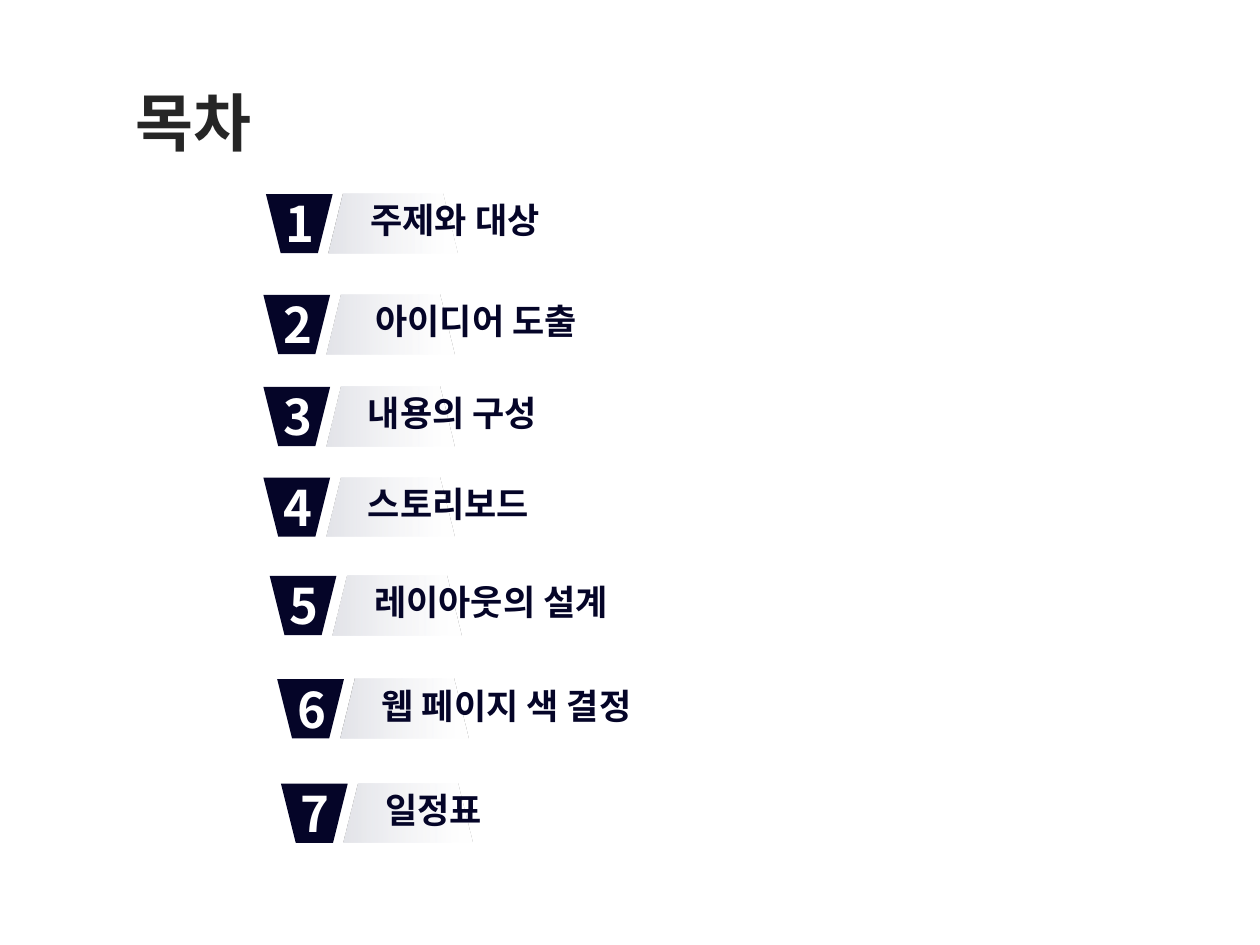
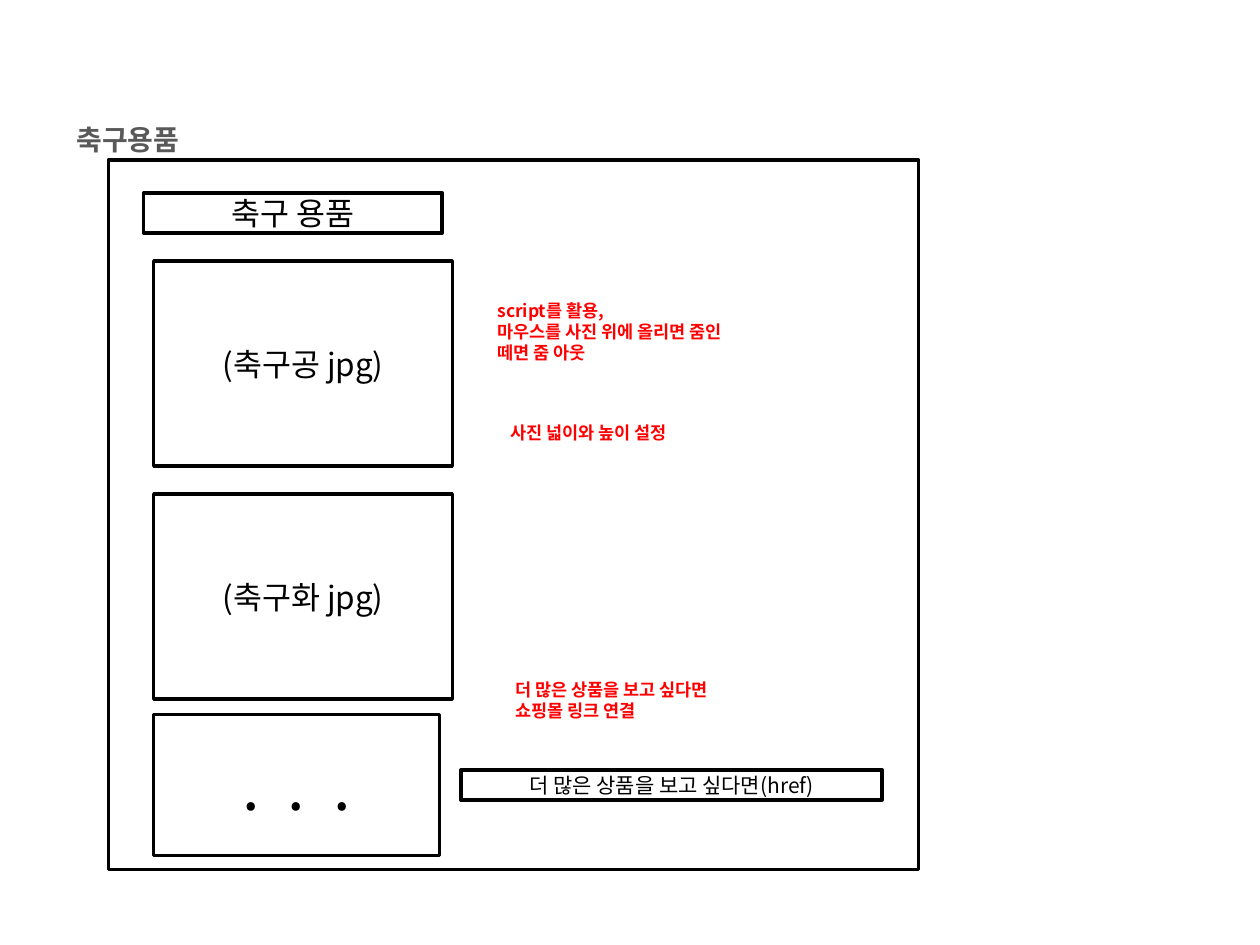
from lxml import etree
from pptx import Presentation
from pptx.dml.color import RGBColor
from pptx.enum.shapes import MSO_SHAPE
from pptx.enum.text import MSO_ANCHOR, MSO_AUTO_SIZE, PP_ALIGN
from pptx.oxml.ns import qn
from pptx.util import Emu, Pt

RECT, TRAPEZOID = MSO_SHAPE.RECTANGLE, MSO_SHAPE.TRAPEZOID
MIDDLE, CENTER = MSO_ANCHOR.MIDDLE, PP_ALIGN.CENTER
FIT_SHAPE = MSO_AUTO_SIZE.SHAPE_TO_FIT_TEXT

PX = 9144  # EMU; 100 px to the inch
FONT = "Noto Sans CJK KR"
NAVY = RGBColor(0x05, 0x05, 0x28)
SILVER = RGBColor(0xE3, 0xE4, 0xE9)
WHITE = RGBColor(0xFF, 0xFF, 0xFF)
BLACK = RGBColor(0x00, 0x00, 0x00)
RED = RGBColor(0xFF, 0x00, 0x00)
CHARCOAL = RGBColor(0x26, 0x26, 0x26)
GRAY = RGBColor(0x59, 0x59, 0x59)

# text, left, top, extra indent of the label
CONTENTS = [
    ("주제와 대상", 211, 154, 0),
    ("아이디어 도출", 209, 234, 6),
    ("내용의 구성", 209, 307, 0),
    ("스토리보드", 209, 379, 0),
    ("레이아웃의 설계", 214, 457, 0),
    ("웹 페이지 색 결정", 220, 539, 0),
    ("일정표", 223, 622, 0),
]

# text, box, size, letter spacing in points
WIREFRAME = [
    ("", (86, 127, 643, 563), 18, 0),
    ("축구 용품", (114, 153, 237, 32), 18, 0),
    ("(축구공 jpg)", (122, 207, 237, 163), 18, 0),
    ("(축구화 jpg)", (122, 392, 237, 163), 18, 0),
    (". . .", (122, 567, 227, 112), 36, 4),
    ("더 많은 상품을 보고 싶다면(href)", (366, 611, 334, 24), 12, 0),
]

NOTES = [
    ("script를 활용,\n마우스를 사진 위에 올리면 줌인\n떼면 줌 아웃", (385, 233, 276, 61)),
    ("사진 넓이와 높이 설정", (395, 330, 276, 27)),
    ("더 많은 상품을 보고 싶다면\n쇼핑몰 링크 연결", (399, 534, 276, 44)),
]


def px(*lengths):
    return [Emu(n * PX) for n in lengths]


def write(tf, text, size, color, bold=False, align=None, spacing=0):
    """Write one paragraph for each line of text."""
    tf.word_wrap = True
    for i, line in enumerate(text.split("\n")):
        p = tf.add_paragraph() if i else tf.paragraphs[0]
        p.alignment = align
        r = p.add_run()
        r.text = line
        r.font.name = FONT
        r.font.size = Pt(size)
        r.font.bold = bold
        r.font.color.rgb = color
        rPr = r.font._element
        etree.SubElement(rPr, qn("a:ea"), typeface=FONT)
        if spacing:
            rPr.set("spc", str(spacing * 100))


def add_text(shapes, text, box, size, color, bold=True, indent=0):
    sp = shapes.add_textbox(*px(*box))
    tf = sp.text_frame
    tf.auto_size = FIT_SHAPE
    tf.margin_left = Emu((10 + indent) * PX)
    write(tf, text, size, color, bold=bold)


def add_plain_shape(shapes, kind, box):
    sp = shapes.add_shape(kind, *px(*box))
    sp.shadow.inherit = False
    sp.line.fill.background()
    return sp


def add_badge(shapes, box):
    sp = add_plain_shape(shapes, TRAPEZOID, box)
    sp.rotation = 180
    sp.fill.solid()
    sp.fill.fore_color.rgb = NAVY


def add_fading_band(shapes, box):
    sp = add_plain_shape(shapes, TRAPEZOID, box)
    sp.fill.gradient()
    sp.fill.gradient_angle = 0
    start, end = sp.fill.gradient_stops
    start.position, start.color.rgb = 0, SILVER
    end.position, end.color.rgb = 0.91, WHITE
    end_color = sp._element.spPr.findall(".//" + qn("a:srgbClr"))[-1]
    etree.SubElement(end_color, qn("a:alpha"), val="70000")


def add_contents_row(slide, number, text, x, y, indent):
    shapes = slide.shapes.add_group_shape().shapes
    add_badge(shapes, (x, y, 53, 47))
    add_fading_band(shapes, (x + 50, y, 102, 47))
    add_text(shapes, str(number), (x + 6, y - 5, 53, 57), 28, WHITE)
    add_text(shapes, text, (x + 67, y - 1, 382, 44), 20, NAVY, indent=6 + indent)


def add_frame(slide, text, box, size, spacing):
    sp = add_plain_shape(slide.shapes, RECT, box)
    sp.fill.solid()
    sp.fill.fore_color.rgb = WHITE
    sp.line.color.rgb = BLACK
    sp.line.width = Pt(2)
    if text:
        sp.text_frame.vertical_anchor = MIDDLE
        write(sp.text_frame, text, size, BLACK, align=CENTER, spacing=spacing)


def build_contents(slide):
    add_text(slide.shapes, "목차", (98, 61, 480, 71), 36, CHARCOAL)
    for number, row in enumerate(CONTENTS, 1):
        add_contents_row(slide, number, *row)


def build_storyboard(slide):
    add_text(slide.shapes, "축구용품", (51, 92, 240, 37), 16, GRAY)
    for frame in WIREFRAME:
        add_frame(slide, *frame)
    for text, box in NOTES:
        add_text(slide.shapes, text, box, 10, RED)


def main():
    prs = Presentation()
    prs.slide_width, prs.slide_height = px(1000, 750)
    blank = prs.slide_layouts[6]
    for build in (build_contents, build_storyboard):
        build(prs.slides.add_slide(blank))
    prs.save("out.pptx")


if __name__ == "__main__":
    main()
